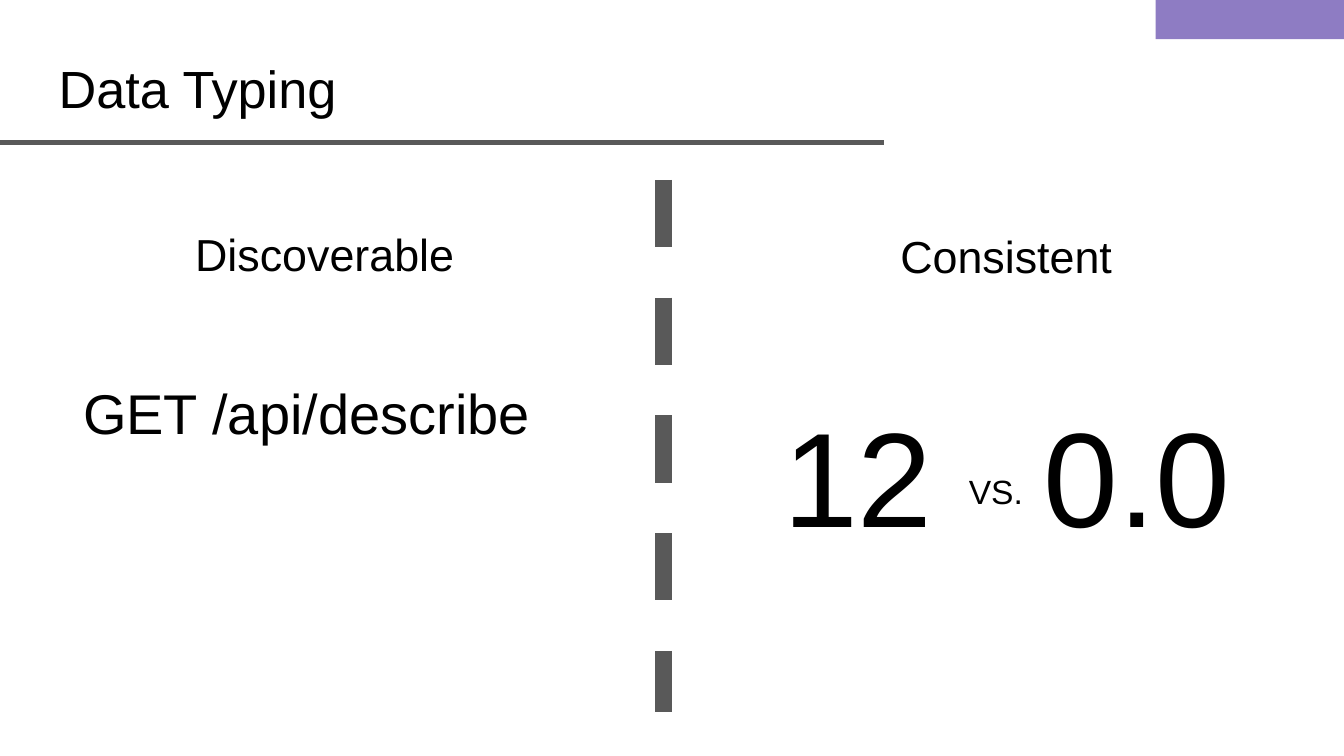
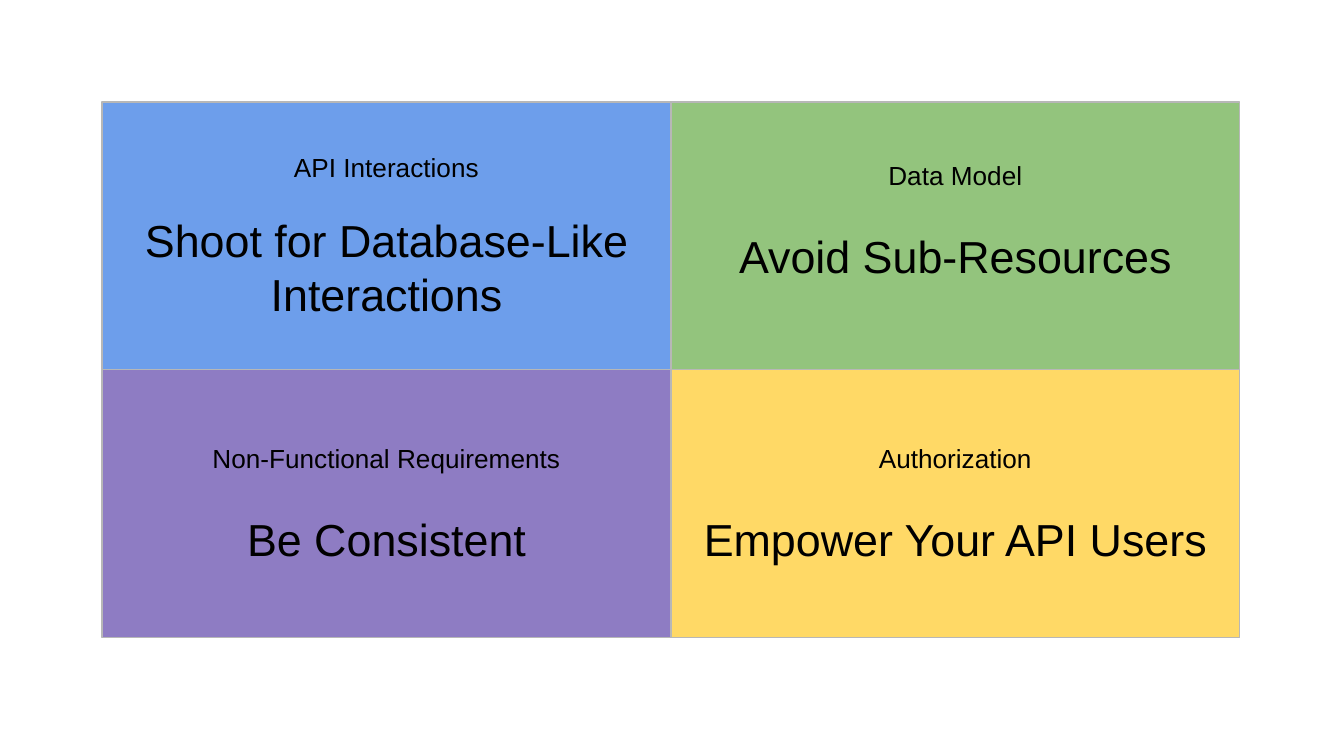
"""Build two slides on API data typing and the four API design takeaways."""
from pptx import Presentation
from pptx.dml.color import RGBColor
from pptx.enum.dml import MSO_LINE
from pptx.enum.shapes import MSO_CONNECTOR, MSO_SHAPE
from pptx.enum.text import MSO_ANCHOR, MSO_AUTO_SIZE, PP_ALIGN
from pptx.oxml.ns import qn
from pptx.util import Cm, Pt

FONT = "Arial"
BLACK = RGBColor(0x00, 0x00, 0x00)
DARK_GREY = RGBColor(0x59, 0x59, 0x59)
BORDER_GREY = RGBColor(0xB7, 0xB7, 0xB7)
BLUE = RGBColor(0x6D, 0x9E, 0xEB)
GREEN = RGBColor(0x93, 0xC4, 0x7D)
PURPLE = RGBColor(0x8E, 0x7C, 0xC3)
YELLOW = RGBColor(0xFF, 0xD9, 0x66)

INSET = Cm(0.25)
CAPTION_SIZE = 14
TAKEAWAY_SIZE = 24
BLANK_LINE = Pt(16)

GRID_LEFT, GRID_TOP = 1.93, 1.93
CELL_WIDTH, CELL_HEIGHT = 10.75, 5.06
TAKEAWAYS = [
    ("API Interactions", "Shoot for Database-Like Interactions", BLUE, 1.0, INSET),
    ("Data Model", "Avoid Sub-Resources", GREEN, 1.15, INSET + BLANK_LINE),
    ("Non-Functional Requirements", "Be Consistent", PURPLE, 1.15, INSET),
    ("Authorization", "Empower Your API Users", YELLOW, 1.15, INSET),
]


def place(shape, left, top, width, height):
    shape.left, shape.top = Cm(left), Cm(top)
    shape.width, shape.height = Cm(width), Cm(height)


def prepare_frame(frame, anchor=MSO_ANCHOR.TOP, bottom=INSET):
    frame.word_wrap = True
    frame.auto_size = MSO_AUTO_SIZE.NONE
    frame.vertical_anchor = anchor
    frame.margin_left = frame.margin_right = frame.margin_top = INSET
    frame.margin_bottom = bottom


def write(paragraph, text, size, align=PP_ALIGN.LEFT, before=None, spacing=None):
    paragraph.alignment = align
    if before is not None:
        paragraph.space_before = before
    if spacing is not None:
        paragraph.line_spacing = spacing
    run = paragraph.add_run()
    run.text = text
    run.font.name = FONT
    run.font.size = Pt(size)
    run.font.color.rgb = BLACK


def add_title(slide, text):
    title = slide.shapes.title
    place(title, 0.86, 0.81, 23.67, 1.6)
    prepare_frame(title.text_frame)
    write(title.text_frame.paragraphs[0], text, 28)


def add_label(slide, text, box, size, align=PP_ALIGN.LEFT, anchor=MSO_ANCHOR.TOP):
    label = slide.shapes.add_textbox(*map(Cm, box))
    prepare_frame(label.text_frame, anchor)
    write(label.text_frame.paragraphs[0], text, size, align)


def add_rule(slide, start, end, width, dash=None):
    rule = slide.shapes.add_connector(
        MSO_CONNECTOR.STRAIGHT, *map(Cm, start + end))
    rule.line.color.rgb = DARK_GREY
    rule.line.width = Pt(width)
    if dash is not None:
        rule.line.dash_style = dash
    properties = rule.line._get_or_add_ln().getparent()
    properties.append(properties.makeelement(qn("a:effectLst"), {}))


def add_block(slide, box, fill, border=None):
    block = slide.shapes.add_shape(MSO_SHAPE.RECTANGLE, *map(Cm, box))
    block.shadow.inherit = False
    block.fill.solid()
    block.fill.fore_color.rgb = fill
    if border is None:
        block.line.fill.background()
    else:
        block.line.color.rgb = border
        block.line.width = Pt(0.75)
    return block


def add_takeaway(slide, index, caption, message, fill, spacing, bottom):
    row, column = divmod(index, 2)
    box = (GRID_LEFT + column * CELL_WIDTH, GRID_TOP + row * CELL_HEIGHT,
           CELL_WIDTH, CELL_HEIGHT)
    frame = add_block(slide, box, fill, BORDER_GREY).text_frame
    prepare_frame(frame, MSO_ANCHOR.MIDDLE, bottom)
    write(frame.paragraphs[0], caption, CAPTION_SIZE, PP_ALIGN.CENTER)
    write(frame.add_paragraph(), message, TAKEAWAY_SIZE, PP_ALIGN.CENTER,
          before=BLANK_LINE, spacing=spacing)


def build_data_typing(slide):
    add_title(slide, "Data Typing")
    add_rule(slide, (0, 2.69), (16.71, 2.69), 3)
    for heading, left, top in (("Discoverable", 1.55, 3.99),
                               ("Consistent", 14.43, 4.04)):
        add_label(slide, heading, (left, top, 9.17, 1.6), 24,
                  PP_ALIGN.CENTER, MSO_ANCHOR.MIDDLE)
    add_label(slide, "GET /api/describe", (1.32, 6.91, 10.19, 2.64), 30)
    add_label(slide, "12", (14.12, 7.19, 4.19, 3.63), 72, PP_ALIGN.CENTER)
    add_label(slide, "VS.", (18.06, 8.66, 1.57, 0.91), 18)
    add_label(slide, "0.0", (19.48, 7.19, 4.29, 3.63), 72)
    add_rule(slide, (12.54, 3.4), (12.54, 13.46), 9, MSO_LINE.DASH)
    add_block(slide, (21.84, 0, 3.56, 0.74), PURPLE)


def build_takeaways(slide):
    for index, takeaway in enumerate(TAKEAWAYS):
        add_takeaway(slide, index, *takeaway)


def main():
    deck = Presentation()
    deck.slide_width, deck.slide_height = Cm(25.4), Cm(14.29)
    title_only, blank = deck.slide_layouts[5], deck.slide_layouts[6]
    build_data_typing(deck.slides.add_slide(title_only))
    build_takeaways(deck.slides.add_slide(blank))
    deck.save("out.pptx")


if __name__ == "__main__":
    main()
